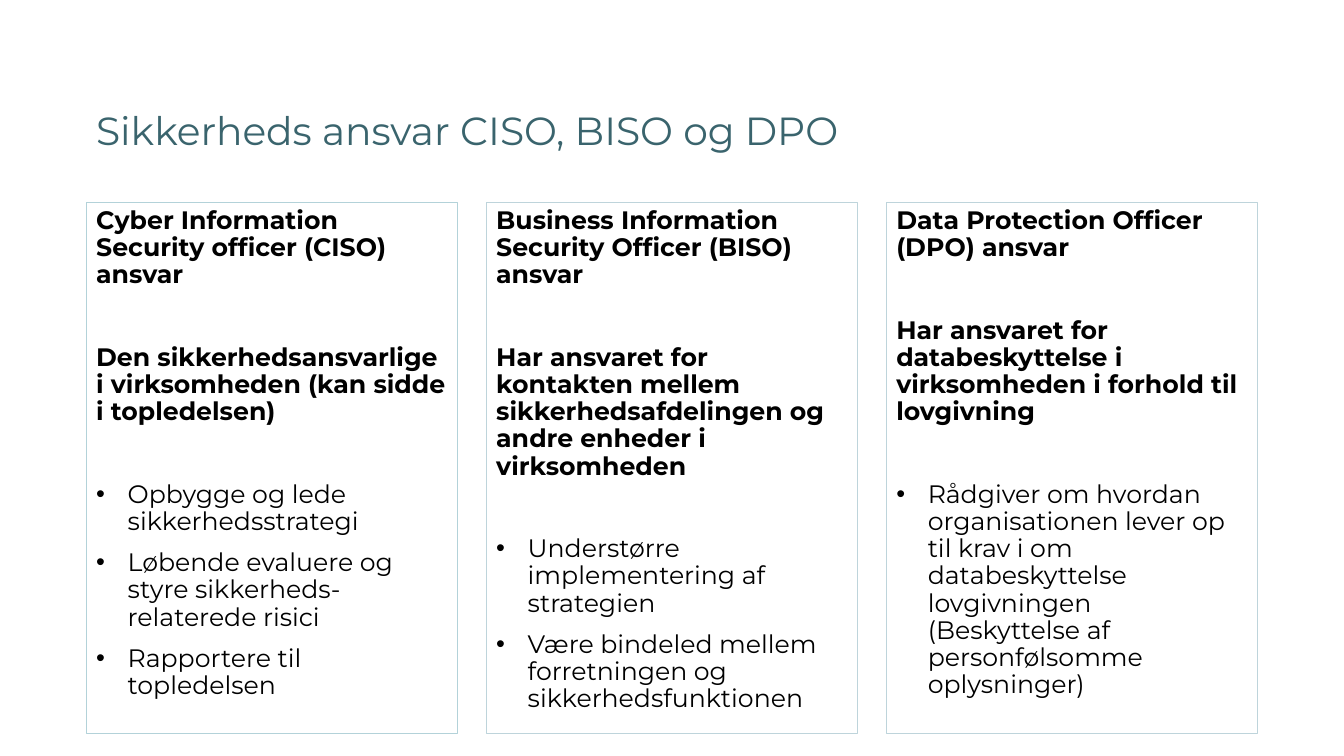
"""Build a slide comparing the security duties of the CISO, BISO and DPO."""
from dataclasses import dataclass

from lxml.etree import SubElement
from pptx import Presentation
from pptx.dml.color import RGBColor
from pptx.enum.text import MSO_ANCHOR as Anchor, MSO_AUTO_SIZE as AutoSize, PP_ALIGN as Align
from pptx.oxml.ns import qn
from pptx.util import Emu, Pt

EMU_PER_PX = 9525
SLIDE_WIDTH, SLIDE_HEIGHT = 1280, 720
COMPARISON_LAYOUT = 4
LEFT, COLUMN_TOP, COLUMN_PITCH = 82, 193, 381
COLUMN_WIDTH, COLUMN_HEIGHT = 354, 506
BULLET_INDENT = 30
COLORS = {
    "title": "3A646D",
    "text": "000000",
    "ciso_border": "B3D2D9",
    "border": "BED4DB",
}
LINE_FORMAT = {"alignment": Align.LEFT, "line_spacing": 0.9}
BULLET_GAP, SECTION_GAP = Pt(10), Pt(39.4)
TITLE_FONT = {"name": "Montserrat", "size": Pt(28), "bold": False}
HEADING_FONT = {"name": "Montserrat", "size": Pt(18), "bold": True}
BULLET_FONT = {"name": "Montserrat", "size": Pt(18), "bold": False}


@dataclass(frozen=True)
class Role:
    placeholder: int
    heading: str
    summary: str
    duties: tuple[str, ...]
    border: str = "border"


ROLES = (
    Role(
        1,
        "Cyber Information Security officer (CISO) ansvar",
        "Den sikkerhedsansvarlige i virksomheden (kan sidde i topledelsen)",
        (
            "Opbygge og lede sikkerhedsstrategi",
            "Løbende evaluere og styre sikkerheds-relaterede risici",
            "Rapportere til topledelsen",
        ),
        "ciso_border",
    ),
    Role(
        2,
        "Business Information Security Officer (BISO) ansvar",
        "Har ansvaret for kontakten mellem sikkerhedsafdelingen og andre enheder i virksomheden",
        (
            "Understørre implementering af strategien",
            "Være bindeled mellem forretningen og sikkerhedsfunktionen",
        ),
    ),
    Role(
        3,
        "Data Protection Officer (DPO) ansvar",
        "Har ansvaret for databeskyttelse i virksomheden i forhold til lovgivning",
        (
            "Rådgiver om hvordan organisationen lever op til krav i om databeskyttelse "
            "lovgivningen (Beskyttelse af personfølsomme oplysninger)",
        ),
    ),
)


def px(length: int) -> Emu:
    return Emu(length * EMU_PER_PX)


def color(name: str) -> RGBColor:
    return RGBColor.from_string(COLORS[name])


def apply(target, values: dict) -> None:
    for name, value in values.items():
        setattr(target, name, value)


def place(box, left: int, top: int, width: int, height: int, anchor: Anchor) -> None:
    apply(box, {"left": px(left), "top": px(top), "width": px(width), "height": px(height)})
    frame_format = {"word_wrap": True, "auto_size": AutoSize.NONE, "vertical_anchor": anchor}
    apply(box.text_frame, frame_format)


def set_bullet(para, shown: bool) -> None:
    properties = para._p.get_or_add_pPr()
    indent = px(BULLET_INDENT) if shown else 0
    properties.set("marL", str(indent))
    properties.set("indent", str(-indent))
    if shown:
        SubElement(properties, qn("a:buFont"), typeface="Arial")
        SubElement(properties, qn("a:buChar"), char="•")
    else:
        SubElement(properties, qn("a:buNone"))


def write(para, text: str, font: dict, color_name: str, gap: int = 0, bullet: bool = False) -> None:
    set_bullet(para, bullet)
    apply(para, LINE_FORMAT | {"space_before": Pt(0) if not gap else gap})
    span = para.add_run()
    span.text = text
    apply(span.font, font)
    span.font.color.rgb = color(color_name)


def draw_role(page, role: Role, column: int) -> None:
    box = page.placeholders[role.placeholder]
    left = LEFT + column * COLUMN_PITCH
    place(box, left, COLUMN_TOP, COLUMN_WIDTH, COLUMN_HEIGHT, Anchor.TOP)
    box.line.color.rgb = color(role.border)
    box.line.width = Pt(0.75)
    frame = box.text_frame
    write(frame.paragraphs[0], role.heading, HEADING_FONT, "text")
    write(frame.add_paragraph(), role.summary, HEADING_FONT, "text", SECTION_GAP)
    for number, duty in enumerate(role.duties):
        gap = BULLET_GAP if number else SECTION_GAP
        write(frame.add_paragraph(), duty, BULLET_FONT, "text", gap, bullet=True)


def main() -> None:
    deck = Presentation()
    apply(deck, {"slide_width": px(SLIDE_WIDTH), "slide_height": px(SLIDE_HEIGHT)})
    page = deck.slides.add_slide(deck.slide_layouts[COMPARISON_LAYOUT])
    title = page.shapes.title
    place(title, LEFT, 78, 989, 97, Anchor.MIDDLE)
    write(title.text_frame.paragraphs[0], "Sikkerheds ansvar CISO, BISO og DPO", TITLE_FONT, "title")
    for column, role in enumerate(ROLES):
        draw_role(page, role, column)
    spare = page.placeholders[4].element
    spare.getparent().remove(spare)
    deck.save("out.pptx")


if __name__ == "__main__":
    main()
